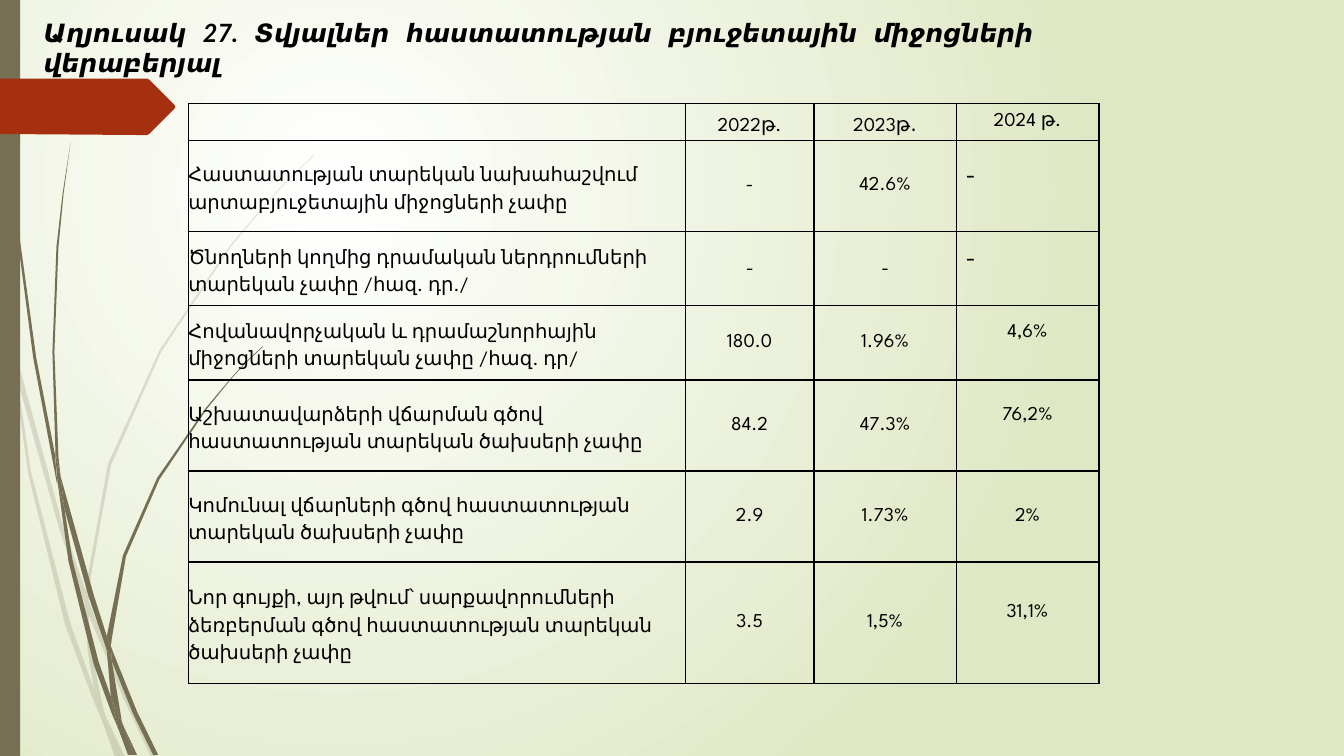
from lxml import etree
from pptx import Presentation
from pptx.dml.color import RGBColor
from pptx.enum import shapes, text
from pptx.oxml.ns import qn
from pptx.util import Pt

COLORS = {"black": "000000", "white": "FFFFFF", "sage": "DFE8C4", "olive": "766F54", "red": "A53010"}
HUNDREDTH_INCH = 0.72

PALE_BLADES = [
    "11 350 9 322 0 282 0 299 10 344",
    "58 522 84 599 85 586 62 520 14 345 17 376",
    "92 607 88 596 88 610 123 694 150 751 155 751 127 692",
    "119 751 124 751 105 711",
    "93 683 70 619 31 469 17 376 11 350 28 470 65 621 92 693 101 714 99 707",
    "84 599 87 646 93 683 96 692 105 711 103 706 91 646 88 610 88 608",
    "88 584 110 462 160 349 229 245 268 198 290 175 312 154 312 153 289 175 268 197 228 244 158 348 107 461 85 584 85 586 88 596",
    "101 714 114 751 119 751",
    "88 608 88 610 88 596 85 586 84 599",
    "96 692 93 683 99 707 101 714 119 751 105 711",
]

DARK_BLADES = [
    "7 110 17 233 33 355 56 477 57 481 55 457 55 453 36 355 19 232 8 109 5 48 4 0 3 0 4 48",
    "88 592 106 645 106 633 106 631 93 590 60 472 64 505",
    "113 649 110 641 111 656 132 708 152 749 157 749 136 706",
    "110 691 98 657 72 556 64 505 57 477 68 557 93 659 111 708 117 722 116 717",
    "60 472 58 453 54 349 58 245 63 193 70 141 62 193 56 245 52 349 55 449",
    "133 749 136 749 122 719",
    "57 477 64 505 60 472 55 449 55 453",
    "111 633 125 552 158 476 205 406 231 374 245 359 261 344 260 344 245 358 231 373 204 405 156 474 122 551 106 631 110 641",
    "117 722 127 749 131 749",
    "106 645 110 691 116 706 122 719 121 716 111 656 109 651",
    "106 645 109 651 111 656 110 641 106 631 106 633",
    "116 706 110 691 116 717 117 722 130 749 133 749 122 719",
]

ARROW = "0 78 146 78 148 79 173 104 174 106 173 108 148 133 146 134 136 134 0 133"

TITLE = "Աղյուսակ 27. Տվյալներ հաստատության բյուջետային միջոցների վերաբերյալ"
HEADER = ["", "2022թ.", "2023թ․", "2024 թ."]
BUDGET = [
    ["Հաստատության տարեկան նախահաշվում արտաբյուջետային միջոցների չափը", "-", "42.6%", "-"],
    ["Ծնողների կողմից դրամական ներդրումների տարեկան չափը /հազ. դր./", "-", "-", "-"],
    ["Հովանավորչական և դրամաշնորհային միջոցների տարեկան չափը /հազ. դր/", "180.0", "1.96%", "4,6%"],
    ["Աշխատավարձերի վճարման գծով հաստատության տարեկան ծախսերի չափը", "84.2", "47.3%", "76,2%"],
    ["Կոմունալ վճարների գծով հաստատության տարեկան ծախսերի չափը", "2.9", "1.73%", "2%"],
    ["Նոր գույքի, այդ թվում՝ սարքավորումների ձեռբերման գծով հաստատության տարեկան ծախսերի չափը",
     "3.5", "1,5%", "31,1%"],
]
COLUMN_WIDTHS = [355, 92, 101.5, 102]
ROW_HEIGHTS = [26.5, 65, 53, 53, 65, 65, 87]
NO_MARGINS = dict.fromkeys(["margin_left", "margin_right", "margin_top", "margin_bottom"], 0)


def rgb(name):
    return RGBColor.from_string(COLORS[name])


def assign(target, values):
    for name, value in values.items():
        setattr(target, name, value)


def paint(shape, color):
    shape.shadow.inherit = False
    shape.fill.solid()
    shape.fill.fore_color.rgb = rgb(color)
    shape.line.fill.background()


def add_outline(container, outline, color):
    lengths = [Pt(int(number) * HUNDREDTH_INCH) for number in outline.split()]
    corners = list(zip(lengths[::2], lengths[1::2]))
    builder = container.build_freeform(*corners[0], scale=1.0)
    builder.add_line_segments(corners[1:], close=True)
    shape = builder.convert_to_shape()
    paint(shape, color)
    return shape


def add_blades(page, blades, opacity=100):
    group = page.shapes.add_group_shape()
    for blade in blades:
        shape = add_outline(group.shapes, blade, "olive")
        if opacity < 100:
            color = shape._element.spPr.find(qn("a:solidFill"))[0]
            etree.SubElement(color, qn("a:alpha"), val=str(opacity * 1000))


def set_background(page):
    fill = page.background.fill
    fill.gradient()
    for stop, color in zip(fill.gradient_stops, ["white", "sage"]):
        stop.color.rgb = rgb(color)
    gradient = page._element.find(".//" + qn("a:gradFill"))
    gradient.remove(gradient.find(qn("a:lin")))
    circle = etree.SubElement(gradient, qn("a:path"), {"path": "circle"})
    etree.SubElement(circle, qn("a:fillToRect"), l="50000", t="50000", r="100000", b="100000")


def write(frame, words, para_format, font_format):
    para = frame.paragraphs[0]
    assign(para, para_format)
    span = para.add_run()
    span.text = words
    assign(span.font, font_format)
    span.font.color.rgb = rgb("black")


def add_title(page):
    box = page.shapes.add_textbox(Pt(24), Pt(8.5), Pt(721.5), Pt(29))
    assign(box.text_frame, {"word_wrap": True, "auto_size": text.MSO_AUTO_SIZE.SHAPE_TO_FIT_TEXT})
    write(box.text_frame, TITLE, {"alignment": text.PP_ALIGN.JUSTIFY},
          {"name": "Lato", "size": Pt(18), "bold": True, "italic": True})


def add_borders(cell):
    properties = cell._tc.get_or_add_tcPr()
    for side in ["lnL", "lnR", "lnT", "lnB"]:
        line = etree.SubElement(properties, qn("a:" + side), w=str(Pt(1)))
        fill = etree.SubElement(line, qn("a:solidFill"))
        etree.SubElement(fill, qn("a:srgbClr"), val=COLORS["black"])


def fill_cell(cell, words, row, column):
    add_borders(cell)
    cell.fill.background()
    cell.vertical_anchor = text.MSO_ANCHOR.MIDDLE
    if row == 0 or column == 0:
        assign(cell, NO_MARGINS)
    elif column == 3 and words != "2%":
        cell.margin_bottom = Pt(18)
    large_dash = words == "-" and column == 3
    karla = large_dash or (words == "-" and row == 2)
    left = column == 0 or large_dash
    para_format = {"alignment": text.PP_ALIGN.LEFT if left else text.PP_ALIGN.CENTER}
    if column == 0 or (row == 0 and column < 3):
        para_format["line_spacing"] = 1.5
    if words:
        write(cell.text_frame, words, para_format,
              {"name": "Karla" if karla else "League Spartan", "size": Pt(18 if large_dash else 14)})
    else:
        cell.text_frame.paragraphs[0].font.size = Pt(14)


def add_budget_table(page):
    rows = [HEADER] + BUDGET
    frame = page.shapes.add_table(len(rows), len(HEADER), Pt(134.5), Pt(74),
                                  Pt(sum(COLUMN_WIDTHS)), Pt(sum(ROW_HEIGHTS)))
    table = frame.table
    assign(table, {"first_row": False, "horz_banding": False})
    for column, width in zip(table.columns, COLUMN_WIDTHS):
        column.width = Pt(width)
    for row, height in zip(table.rows, ROW_HEIGHTS):
        row.height = Pt(height)
    for row, values in enumerate(rows):
        for column, words in enumerate(values):
            fill_cell(table.cell(row, column), words, row, column)


def main():
    deck = Presentation()
    assign(deck, {"slide_width": Pt(960), "slide_height": Pt(540)})
    page = deck.slides.add_slide(deck.slide_layouts[6])
    set_background(page)
    add_blades(page, PALE_BLADES, opacity=20)
    add_blades(page, DARK_BLADES)
    side_bar = page.shapes.add_shape(shapes.MSO_SHAPE.RECTANGLE, 0, 0, Pt(14.4), Pt(540))
    paint(side_bar, "olive")
    add_outline(page.shapes, ARROW, "red")
    add_title(page)
    add_budget_table(page)
    deck.save("out.pptx")


if __name__ == "__main__":
    main()
